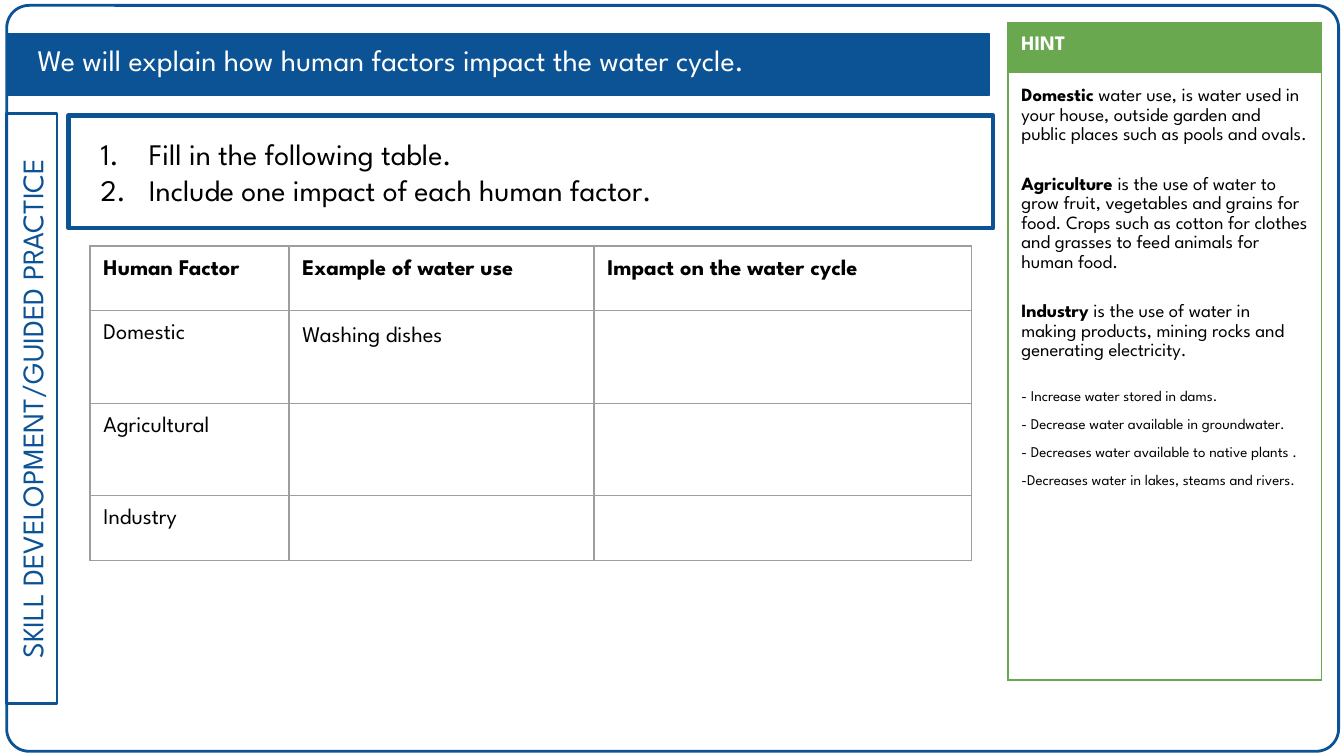
"""Build a guided practice slide on human factors in the water cycle."""
import pptx
import pptx.dml.color
import pptx.enum.shapes
import pptx.enum.text
import pptx.util
import pptx.oxml
import pptx.oxml.ns
from dataclasses import dataclass

Inch, Pt = pptx.util.Inches, pptx.util.Pt
Kind = pptx.enum.shapes.MSO_SHAPE
Align, Anchor = pptx.enum.text.PP_ALIGN, pptx.enum.text.MSO_ANCHOR


@dataclass(frozen=True)
class Theme:
    font: str = "League Spartan"
    blue: str = "0B5394"
    green: str = "6AA84F"
    grey: str = "9E9E9E"
    white: str = "FFFFFF"
    black: str = "000000"
    head: int = 16
    cell: int = 12
    label: int = 11
    body: int = 10
    small: int = 8
    pad: float = 0.1


look = Theme()
WIDE = 10
HIGH = WIDE * 9 / 16
GOAL = "We will explain how human factors impact the water cycle."
STAGE = "SKILL DEVELOPMENT/GUIDED PRACTICE"
TASKS = ["Fill in the following table.", "Include one impact of each human factor."]
GRID = [
    ("Human Factor", "Example of water use", "Impact on the water cycle"),
    ("Domestic", "Washing dishes", ""),
    ("Agricultural", "", ""),
    ("Industry", "", ""),
]
HINTS = [
    ("Domestic", " water use, is water used in your house, outside garden and public places such as pools and ovals."),
    ("Agriculture ", "is the use of water to grow fruit, vegetables and grains for food. Crops such as cotton for clothes and grasses to feed animals for human food."),
    ("Industry ", "is the use of water in making products, mining rocks and generating electricity."),
]
EFFECTS = [
    "- Increase water stored in dams.",
    "- Decrease water available in groundwater.",
    "- Decreases water available to native plants .",
    "-Decreases water in lakes, steams and rivers.",
]


def tint(name):
    return pptx.dml.color.RGBColor.from_string(name)


def write(para, text, size, color=look.black, bold=False):
    run = para.add_run()
    run.text = text
    font = run.font
    font.name, font.size, font.bold = look.font, Pt(size), bold
    font.color.rgb = tint(color)


def next_para(frame):
    first = frame.paragraphs[0]
    return frame.add_paragraph() if first.runs else first


def inset(item):
    item.margin_left = item.margin_right = Inch(look.pad)
    item.margin_top = item.margin_bottom = Inch(look.pad)


def panel(slide, kind, area, weight, fill=None):
    shape = slide.shapes.add_shape(kind, *map(Inch, area))
    shape.shadow.inherit = False
    if fill:
        shape.fill.solid()
        shape.fill.fore_color.rgb = tint(fill)
    else:
        shape.fill.background()
    shape.line.color.rgb = tint(look.blue)
    shape.line.width = Pt(weight)
    frame = shape.text_frame
    frame.word_wrap, frame.vertical_anchor = True, Anchor.MIDDLE
    inset(frame)
    return shape


def edge(cell, color):
    props = cell._tc.get_or_add_tcPr()
    for side in ("lnL", "lnR", "lnT", "lnB"):
        props.append(pptx.oxml.parse_xml(
            f'<a:{side} {pptx.oxml.ns.nsdecls("a")} w="{Pt(0.75)}"><a:solidFill>'
            f'<a:srgbClr val="{color}"/></a:solidFill></a:{side}>'))


def add_grid(slide, left, top, cols, rows, color):
    table = slide.shapes.add_table(
        len(rows), len(cols), *map(Inch, (left, top, sum(cols), sum(rows)))).table
    table.first_row = table.horz_banding = False
    for col, size in zip(table.columns, cols):
        col.width = Inch(size)
    for row, size in zip(table.rows, rows):
        row.height = Inch(size)
    for cell in table.iter_cells():
        inset(cell)
        edge(cell, color)
        cell.fill.background()
    return table


def add_goal(slide):
    bar = panel(slide, Kind.RECTANGLE, (0.05, 0.25, 7.31, 0.46), 0.75, look.blue)
    title = slide.shapes.title
    title.left, title.top, title.width, title.height = map(Inch, (0.18, 0.25, 7.21, 0.38))
    frame = title.text_frame
    frame.auto_size = pptx.enum.text.MSO_AUTO_SIZE.NONE
    frame.word_wrap, frame.vertical_anchor = True, Anchor.MIDDLE
    inset(frame)
    para = frame.paragraphs[0]
    para.alignment = Align.LEFT
    write(para, GOAL, look.head, look.white)
    bar.element.addnext(title.element)


def add_tasks(slide):
    frame = panel(slide, Kind.RECTANGLE, (0.51, 0.86, 6.88, 0.84), 2.25).text_frame
    for task in TASKS:
        para = next_para(frame)
        para.alignment = Align.LEFT
        props = para._p.get_or_add_pPr()
        props.set("marL", str(Inch(0.5)))
        props.set("indent", str(Inch(-0.36)))
        props.append(pptx.oxml.parse_xml(
            f'<a:buClr {pptx.oxml.ns.nsdecls("a")}><a:srgbClr val="{look.black}"/></a:buClr>'))
        props.append(pptx.oxml.parse_xml(
            f'<a:buAutoNum {pptx.oxml.ns.nsdecls("a")} type="arabicPeriod"/>'))
        write(para, task, look.head)


def add_hints(slide):
    table = add_grid(slide, 7.5, 0.17, [2.33], [0.37, 4.52], look.green)
    head, body = table.iter_cells()
    head.fill.solid()
    head.fill.fore_color.rgb = tint(look.green)
    write(head.text_frame.paragraphs[0], "HINT", look.label, look.white, True)
    frame = body.text_frame
    for spot, (term, text) in enumerate(HINTS):
        para = next_para(frame)
        para.line_spacing = 1.15
        para.space_before = Pt(16 if spot else 0)
        write(para, term, look.body, bold=True)
        write(para, text, look.body)
    for spot, text in enumerate(EFFECTS):
        para = next_para(frame)
        para.space_before = Pt(7.5 if spot else 16)
        write(para, text, look.small)


def add_factors(slide):
    table = add_grid(slide, 0.67, 1.83, [1.48, 2.27, 2.81], [0.48, 0.69, 0.69, 0.48], look.grey)
    for r, row in enumerate(GRID):
        for c, text in enumerate(row):
            para = table.cell(r, c).text_frame.paragraphs[0]
            if text:
                para.line_spacing = 1.15 if r and c else 1.0
                write(para, text, look.cell, bold=r == 0)
            else:
                para._p.get_or_add_endParaRPr().set("sz", str(look.cell * 100))


def main():
    deck = pptx.Presentation()
    deck.slide_width, deck.slide_height = Inch(WIDE), Inch(HIGH)
    slide = deck.slides.add_slide(deck.slide_layouts[5])
    border = panel(slide, Kind.ROUNDED_RECTANGLE, (0.05, 0.04, 9.91, 5.55), 1.5)
    border.adjustments[0] = 0.03
    side = panel(slide, Kind.RECTANGLE, (-1.96, 2.85, 4.39, 0.38), 1.5)
    side.rotation = 270
    para = side.text_frame.paragraphs[0]
    para.alignment = Align.CENTER
    write(para, STAGE, look.head, look.blue)
    add_goal(slide)
    add_tasks(slide)
    add_hints(slide)
    add_factors(slide)
    deck.save("out.pptx")


if __name__ == "__main__":
    main()
